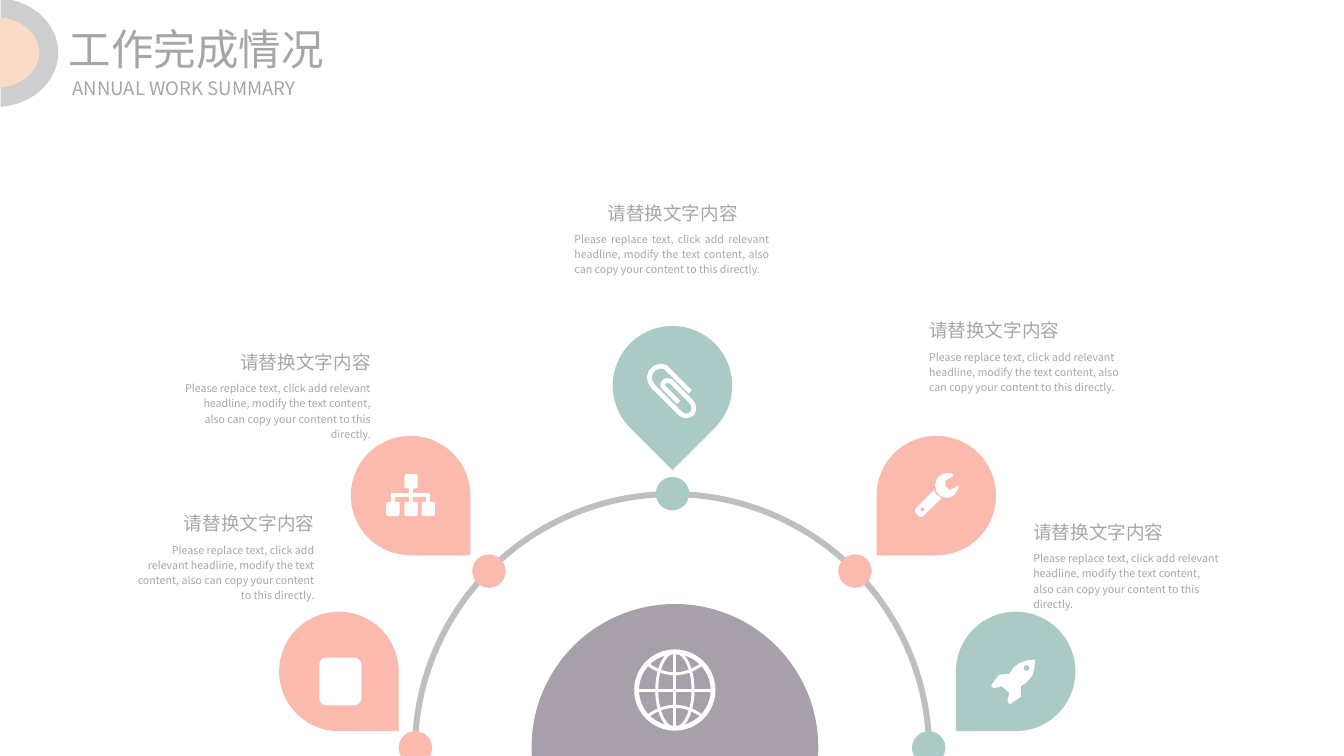
"""Builds the work completion slide: five pins around an arc with a globe at its centre."""
import math

import pptx
import pptx.dml.color
import pptx.enum.shapes
import pptx.enum.text
import pptx.oxml.ns
import pptx.util
from lxml import etree

Inches = pptx.util.Inches
Pt = pptx.util.Pt
MSO = pptx.enum.shapes.MSO_SHAPE
ALIGN = pptx.enum.text.PP_ALIGN
ANCHOR = pptx.enum.text.MSO_ANCHOR

PINK = pptx.dml.color.RGBColor(0xFA, 0xBA, 0xAE)
TEAL = pptx.dml.color.RGBColor(0xAB, 0xCA, 0xC5)
MAUVE = pptx.dml.color.RGBColor(0xA7, 0x9F, 0xAA)
WHITE = pptx.dml.color.RGBColor(0xFF, 0xFF, 0xFF)
TEXT_GREY = pptx.dml.color.RGBColor(0xA6, 0xA6, 0xA6)
ARC_GREY = pptx.dml.color.RGBColor(0xBF, 0xBF, 0xBF)
PALE_GREY = pptx.dml.color.RGBColor(0xCE, 0xCE, 0xD0)
PEACH = pptx.dml.color.RGBColor(0xFB, 0xDB, 0xC6)
FONT = "Noto Sans CJK SC"
HEADING = "请替换文字内容"
BODY = ("Please replace text, click add relevant headline, modify the text content, "
        "also can copy your content to this directly.")

deck = pptx.Presentation()
deck.slide_width, deck.slide_height = Inches(14.06), Inches(7.91)
shapes = deck.slides.add_slide(deck.slide_layouts[6]).shapes


def paint(shape, fill=None, line=None, width=0):
    """Give a shape a flat fill or a plain outline."""
    shape.shadow.inherit = False
    if fill is None:
        shape.fill.background()
    else:
        shape.fill.solid()
        shape.fill.fore_color.rgb = fill
    if line is None:
        shape.line.fill.background()
    else:
        shape.line.color.rgb = line
        shape.line.width = Pt(width)


def write(text, place, size, align=ALIGN.LEFT, wrap=True, spacing=1.0, anchor=ANCHOR.TOP):
    """Add a grey text box without margins."""
    frame = shapes.add_textbox(*map(Inches, place)).text_frame
    frame_format = {"margin_left": 0, "margin_right": 0, "margin_top": 0, "margin_bottom": 0,
                    "word_wrap": wrap, "vertical_anchor": anchor,
                    "auto_size": pptx.enum.text.MSO_AUTO_SIZE.SHAPE_TO_FIT_TEXT}
    for name, value in frame_format.items():
        setattr(frame, name, value)
    paragraph = frame.paragraphs[0]
    paragraph.alignment, paragraph.line_spacing = align, spacing
    run = paragraph.add_run()
    run.text = text
    run.font.size, run.font.name = Pt(size), FONT
    run.font.color.rgb = TEXT_GREY
    east_asian = etree.SubElement(run.font._element, pptx.oxml.ns.qn("a:ea"))
    east_asian.set("typeface", FONT)


hub = shapes.add_shape(MSO.CHORD, Inches(5.56), Inches(6.32), Inches(3), Inches(3))
hub.adjustments[0], hub.adjustments[1] = 42.348, 155.32
hub.rotation = 105
paint(hub, MAUVE)

arc = shapes.add_shape(MSO.ARC, Inches(4.34), Inches(5.17), Inches(5.38), Inches(5.38))
arc.adjustments[0], arc.adjustments[1] = 107.693, 0
paint(arc, line=ARC_GREY, width=4.5)

pins = [
    (PINK, (4.17, 7.65), (2.92, 6.40), 90),
    (PINK, (4.94, 5.80), (3.67, 4.56), 90),
    (TEAL, (6.86, 4.99), (6.41, 3.41), 135),
    (PINK, (8.77, 5.80), (9.17, 4.56), 180),
    (TEAL, (9.54, 7.65), (10.00, 6.40), 180),
]
for color, dot_place, drop_place, turn in pins:
    dot = shapes.add_shape(MSO.OVAL, *map(Inches, (*dot_place, 0.35, 0.35)))
    paint(dot, color)
    drop = shapes.add_shape(MSO.TEAR, *map(Inches, (*drop_place, 1.25, 1.25)))
    drop.rotation = turn
    paint(drop, color)

globe_x, globe_y = 7.06, 7.22
for half_width, stroke in ((0.4, 3.6), (0.19, 2.2)):
    ring = shapes.add_shape(MSO.OVAL, Inches(globe_x - half_width), Inches(globe_y - 0.4),
                            Inches(2 * half_width), Inches(0.8))
    paint(ring, line=WHITE, width=stroke)

paperclip = [(7.22, 4.10), (7.00, 3.88), (6.96, 3.84), (6.91, 3.83), (6.85, 3.85), (6.81, 3.89),
             (6.79, 3.95), (6.81, 4.01), (6.84, 4.05), (7.12, 4.33), (7.16, 4.35), (7.20, 4.35),
             (7.24, 4.33), (7.26, 4.28), (7.25, 4.23), (7.22, 4.19), (7.02, 3.99), (6.98, 3.98),
             (6.95, 3.99), (6.93, 4.03), (6.95, 4.06), (7.10, 4.21)]
rocket = [(10.83, 6.90), (10.74, 6.91), (10.66, 6.94), (10.60, 6.99), (10.56, 7.05),
          (10.45, 7.06), (10.37, 7.17), (10.37, 7.18), (10.40, 7.20), (10.48, 7.18),
          (10.56, 7.25), (10.54, 7.33), (10.56, 7.37), (10.68, 7.29), (10.68, 7.18),
          (10.74, 7.14), (10.80, 7.07), (10.82, 7.00)]
wrench_handle = [(9.77, 5.13), (9.58, 5.32), (9.57, 5.35), (9.58, 5.37), (9.61, 5.40),
                 (9.64, 5.41), (9.66, 5.40), (9.85, 5.21), (9.82, 5.19), (9.79, 5.17)]
wrench_head = [(9.97, 4.98), (9.89, 5.03), (9.89, 5.09), (9.94, 5.13), (10.02, 5.08),
               (10.03, 5.09), (10.02, 5.12), (9.99, 5.17), (9.95, 5.20), (9.90, 5.21),
               (9.84, 5.19), (9.80, 5.15), (9.78, 5.08), (9.80, 5.01), (9.84, 4.97),
               (9.90, 4.95), (9.95, 4.95), (9.97, 4.97)]
outlines = [(rocket, WHITE, 0), (wrench_handle, WHITE, 0), (wrench_head, WHITE, 0),
            (paperclip, None, 3.5)]
for side in (-1, 1):
    latitude = [(globe_x + 0.27 * step / 6, globe_y + side * (0.17 + 0.09 * (step / 6) ** 2))
                for step in range(-6, 7)]
    outlines.append((latitude, None, 2.2))
for radius_x, radius_y, color in ((0.66, 0.57, PALE_GREY), (0.46, 0.37, PEACH)):
    corner = [(max(0, radius_x * math.cos(math.radians(angle)) - 0.05),
               0.55 + radius_y * math.sin(math.radians(angle))) for angle in range(-85, 86, 5)]
    outlines.append((corner, color, 0))
for points, color, stroke in outlines:
    start, *rest = [(Inches(x), Inches(y)) for x, y in points]
    builder = shapes.build_freeform(*start)
    builder.add_line_segments(rest, close=color is not None)
    paint(builder.convert_to_shape(), color, None if color else WHITE, stroke)

for x, y, radius, color in ((10.74, 6.99, 0.03, TEAL), (9.65, 5.33, 0.02, PINK)):
    hole = shapes.add_shape(MSO.OVAL, Inches(x - radius), Inches(y - radius),
                            Inches(2 * radius), Inches(2 * radius))
    paint(hole, color)

chart_columns = (4.11, 4.3, 4.48)
chart_boxes = [(4.3, 4.96)] + [(x, 5.25) for x in chart_columns]
blocks = [(x - 0.07, y, 0.14, 0.15) for x, y in chart_boxes] + [(3.34, 6.88, 0.44, 0.5)]
for block_place in blocks:
    block = shapes.add_shape(MSO.ROUNDED_RECTANGLE, *map(Inches, block_place))
    paint(block, WHITE)

strokes = [(globe_x - 0.4, globe_y, globe_x + 0.4, globe_y, 2.2),
           (globe_x, globe_y - 0.4, globe_x, globe_y + 0.4, 2.2),
           (4.3, 5.1, 4.3, 5.18, 3), (4.09, 5.18, 4.5, 5.18, 3)]
strokes += [(x, 5.18, x, 5.26, 3) for x in chart_columns]
for *ends, width in strokes:
    stroke = shapes.add_connector(pptx.enum.shapes.MSO_CONNECTOR.STRAIGHT, *map(Inches, ends))
    stroke.line.color.rgb = WHITE
    stroke.line.width = Pt(width)
    etree.SubElement(stroke._element.spPr, pptx.oxml.ns.qn("a:effectLst"))

captions = [
    (1.92, 5.36, 1.36, 1.93, ALIGN.RIGHT, ALIGN.RIGHT),
    (2.51, 3.67, 1.92, 1.96, ALIGN.RIGHT, ALIGN.RIGHT),
    (6.35, 2.11, 6.01, 2.04, ALIGN.RIGHT, ALIGN.JUSTIFY),
    (9.72, 3.34, 9.72, 2.04, ALIGN.LEFT, ALIGN.LEFT),
    (10.81, 5.45, 10.81, 1.96, ALIGN.LEFT, ALIGN.LEFT),
]
for heading_left, top, body_left, body_width, heading_align, body_align in captions:
    write(BODY, (body_left, top + 0.3, body_width, 0.48), 8, body_align, spacing=1.2)
    write(HEADING, (heading_left, top, 1.37, 0.24), 14, heading_align, wrap=False)

write("工作完成情况", (0.72, 0.24, 4.32, 0.54), 32, anchor=ANCHOR.MIDDLE)
write("ANNUAL WORK SUMMARY", (0.76, 0.8, 3.03, 0.24), 14, anchor=ANCHOR.MIDDLE)

deck.save("out.pptx")
